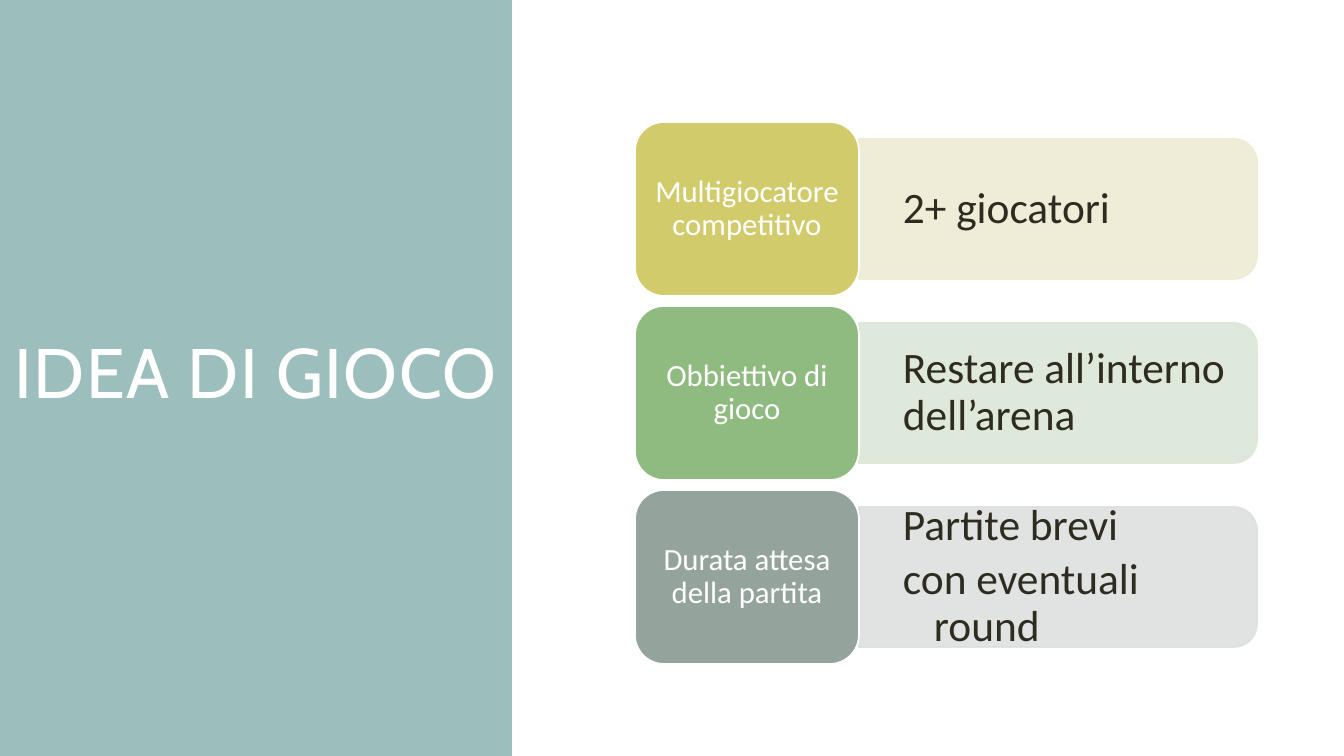
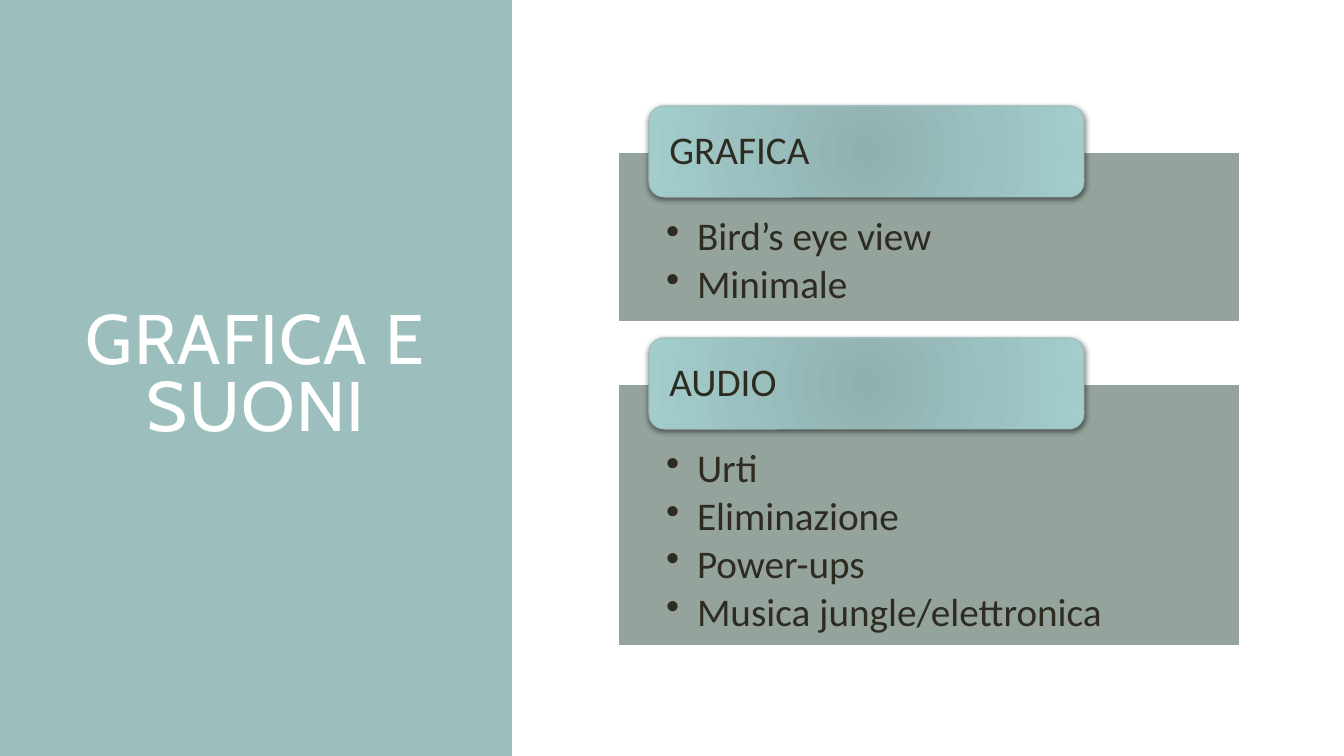
from dataclasses import dataclass
from typing import Any, Optional

import pptx
import pptx.dml.color
import pptx.enum.shapes
import pptx.enum.text
import pptx.oxml
import pptx.oxml.ns
import pptx.util

MSO_SHAPE = pptx.enum.shapes.MSO_SHAPE
ALIGN = pptx.enum.text.PP_ALIGN
ANCHOR = pptx.enum.text.MSO_ANCHOR
EMU_PER_PX = 12192000 / 1344


@dataclass(frozen=True)
class Theme:
    title_font: str = "Cabin"
    body_font: str = "Calibri"
    white: str = "FFFFFF"
    ink: str = "2E2B21"
    band: str = "9CBEBD"
    sage: str = "95A39D"
    glow_inner: str = "91B1B0"
    glow_outer: str = "A2CDCC"
    title_size: int = 50
    detail_size: int = 31
    list_size: int = 28
    tile_size: int = 22


THEME = Theme()


@dataclass(frozen=True)
class Box:
    left: int
    top: int
    width: int
    height: int


@dataclass(frozen=True)
class TextStyle:
    size: int
    color: str
    font: str = THEME.body_font
    align: Any = ALIGN.LEFT
    anchor: Any = ANCHOR.MIDDLE
    insets: tuple[int, int, int, int] = (10, 5, 10, 5)
    line_spacing: float = 0.9
    space_after: int = 0
    bullet: str = ""


@dataclass(frozen=True)
class Line:
    """One paragraph with its left margin and first-line indent."""
    text: str
    margin: int = 0
    indent: int = 0


@dataclass(frozen=True)
class GameRow:
    label: str
    details: tuple[Line, ...]
    color: str
    tint: str


@dataclass(frozen=True)
class Section:
    heading: str
    items: tuple[str, ...]


SLIDE = Box(0, 0, 1344, 756)
BAND = Box(0, 0, 512, 756)
TITLE = Box(0, 71, 512, 614)
INDENT = 31

TITLE_STYLE = TextStyle(THEME.title_size, THEME.white, THEME.title_font,
                        ALIGN.CENTER, line_spacing=0.8)
TILE_STYLE = TextStyle(THEME.tile_size, THEME.white, align=ALIGN.CENTER,
                       insets=(9, 5, 9, 5))
DETAIL_STYLE = TextStyle(THEME.detail_size, THEME.ink,
                         insets=(13, 6, 13, 6), space_after=5)
HEADING_STYLE = TextStyle(THEME.list_size, THEME.ink, insets=(16, 0, 16, 0))
LIST_STYLE = TextStyle(THEME.list_size, THEME.ink, anchor=ANCHOR.TOP,
                       insets=(48, 65, 48, 22), space_after=4, bullet="•")

GAME_ROWS = (
    GameRow("Multigiocatore competitivo",
            (Line("2+ giocatori", INDENT),), "D2CB6C", "EEECD4"),
    GameRow("Obbiettivo di gioco",
            (Line("Restare all’interno dell’arena", INDENT),),
            "8FBB80", "DCE7D8"),
    GameRow("Durata attesa della partita",
            (Line("Partite brevi", INDENT),
             Line("con eventuali round", 2 * INDENT, -INDENT)),
            THEME.sage, "DDE0DF"),
)
SECTIONS = (
    Section("GRAFICA", ("Bird’s eye view", "Minimale")),
    Section("AUDIO", ("Urti", "Eliminazione", "Power-ups",
                      "Musica jungle/elettronica")),
)


def px(length: float) -> pptx.util.Emu:
    return pptx.util.Emu(round(length * EMU_PER_PX))


def rgb(color: str) -> pptx.dml.color.RGBColor:
    return pptx.dml.color.RGBColor.from_string(color)


def set_attributes(target: Any, values: dict[str, Any]) -> None:
    for name, value in values.items():
        setattr(target, name, value)


def drawing_element(tag: str, content: str = "", **attributes: Any) -> Any:
    """Build a DrawingML element from its tag, attributes and inner XML."""
    pairs = "".join(f' {name}="{value}"' for name, value in attributes.items())
    namespace = pptx.oxml.ns.nsdecls("a")
    return pptx.oxml.parse_xml(f"<a:{tag} {namespace}{pairs}>{content}</a:{tag}>")


def write_text(shape: Any, lines: tuple[Line, ...], style: TextStyle) -> None:
    frame = shape.text_frame
    left, top, right, bottom = (px(inset) for inset in style.insets)
    set_attributes(frame, {
        "word_wrap": True,
        "auto_size": pptx.enum.text.MSO_AUTO_SIZE.NONE,
        "vertical_anchor": style.anchor,
        "margin_left": left, "margin_top": top,
        "margin_right": right, "margin_bottom": bottom,
    })
    for index, line in enumerate(lines):
        paragraph = frame.add_paragraph() if index else frame.paragraphs[0]
        set_attributes(paragraph, {
            "alignment": style.align,
            "line_spacing": style.line_spacing,
            "space_before": pptx.util.Pt(0),
            "space_after": pptx.util.Pt(style.space_after),
        })
        run = paragraph.add_run()
        run.text = line.text
        set_attributes(run.font, {"name": style.font,
                                  "size": pptx.util.Pt(style.size)})
        run.font.color.rgb = rgb(style.color)
        properties = paragraph._p.get_or_add_pPr()
        properties.set("marL", str(px(line.margin)))
        properties.set("indent", str(px(line.indent)))
        if style.bullet:
            properties.append(drawing_element("buChar", char=style.bullet))


def add_block(slide: Any, kind: Any, box: Box, fill: str,
              line: Optional[str] = None, line_width: float = 1.25) -> Any:
    """Add a flat preset shape with a solid fill and an optional outline."""
    shape = slide.shapes.add_shape(kind, px(box.left), px(box.top),
                                   px(box.width), px(box.height))
    shape.shadow.inherit = False
    shape.fill.solid()
    shape.fill.fore_color.rgb = rgb(fill)
    if line:
        shape.line.color.rgb = rgb(line)
        shape.line.width = pptx.util.Pt(line_width)
    else:
        shape.line.fill.background()
    return shape


def add_titled_slide(presentation: Any, title: str) -> Any:
    """Add a slide with the colour band and the title centred on it."""
    slide = presentation.slides.add_slide(presentation.slide_layouts[5])
    placeholder = slide.shapes.title
    set_attributes(placeholder, {
        "left": px(TITLE.left), "top": px(TITLE.top),
        "width": px(TITLE.width), "height": px(TITLE.height),
    })
    write_text(placeholder, (Line(title),), TITLE_STYLE)
    for run in placeholder.text_frame.paragraphs[0].runs:
        run._r.get_or_add_rPr().set("spc", "100")
    band = add_block(slide, MSO_SHAPE.RECTANGLE, BAND, THEME.band)
    placeholder.element.addprevious(band.element)
    return slide


def add_side_panel(slide: Any, box: Box, tint: str) -> None:
    """Add a translucent panel whose right-hand corners are rounded."""
    shift = (box.width - box.height) // 2
    upright = Box(box.left + shift, box.top - shift, box.height, box.width)
    panel = add_block(slide, MSO_SHAPE.ROUND_2_SAME_RECTANGLE, upright,
                      tint, tint)
    panel.rotation = 90
    for color in panel.element.spPr.iter(pptx.oxml.ns.qn("a:srgbClr")):
        color.append(drawing_element("alpha", val=90000))


def add_game_row(slide: Any, row: GameRow, top: int) -> None:
    tile = Box(635, top, 224, 174)
    panel = Box(tile.left + tile.width, top + 17, 398, 140)
    add_side_panel(slide, panel, row.tint)
    details = slide.shapes.add_textbox(px(panel.left), px(panel.top + 7),
                                       px(391), px(126))
    write_text(details, row.details, DETAIL_STYLE)
    label = add_block(slide, MSO_SHAPE.ROUNDED_RECTANGLE, tile,
                      row.color, THEME.white)
    write_text(label, (Line(row.label),), TILE_STYLE)


def add_glow(shape: Any) -> None:
    """Give the shape a radial gradient and a soft shadow below it."""
    properties = shape.element.spPr
    stops = "".join(
        f'<a:gs pos="{position}"><a:srgbClr val="{color}"/></a:gs>'
        for position, color in ((0, THEME.glow_inner),
                                (100000, THEME.glow_outer)))
    gradient = drawing_element(
        "gradFill",
        f'<a:gsLst>{stops}</a:gsLst><a:path path="circle">'
        '<a:fillToRect l="100000" t="100000" r="100000" b="100000"/></a:path>',
        rotWithShape=1)
    solid = properties.find(pptx.oxml.ns.qn("a:solidFill"))
    properties.replace(solid, gradient)
    effects = properties.find(pptx.oxml.ns.qn("a:effectLst"))
    effects.append(drawing_element(
        "outerShdw",
        '<a:srgbClr val="000000"><a:alpha val="50000"/></a:srgbClr>',
        blurRad=pptx.util.Pt(4), dist=pptx.util.Pt(1), dir=5400000,
        rotWithShape=0))


def add_section(slide: Any, section: Section, top: int) -> int:
    """Draw a headed list and return the y of its lower edge."""
    panel = Box(618, top + 46, 622, 78 + 46 * len(section.items))
    body = add_block(slide, MSO_SHAPE.RECTANGLE, panel, THEME.sage,
                     THEME.white, 1.5)
    lines = tuple(Line(item, INDENT, -INDENT) for item in section.items)
    write_text(body, lines, LIST_STYLE)
    heading = add_block(slide, MSO_SHAPE.ROUNDED_RECTANGLE,
                        Box(649, top, 435, 91), THEME.glow_outer,
                        THEME.band, 0.75)
    add_glow(heading)
    write_text(heading, (Line(section.heading),), HEADING_STYLE)
    return panel.top + panel.height


def main() -> None:
    presentation = pptx.Presentation()
    set_attributes(presentation, {"slide_width": px(SLIDE.width),
                                  "slide_height": px(SLIDE.height)})

    idea = add_titled_slide(presentation, "IDEA DI GIOCO")
    for index, row in enumerate(GAME_ROWS):
        add_game_row(idea, row, 122 + 184 * index)

    media = add_titled_slide(presentation, "GRAFICA E SUONI")
    top = 106
    for section in SECTIONS:
        top = add_section(media, section, top) + 16

    presentation.save("out.pptx")


if __name__ == "__main__":
    main()
